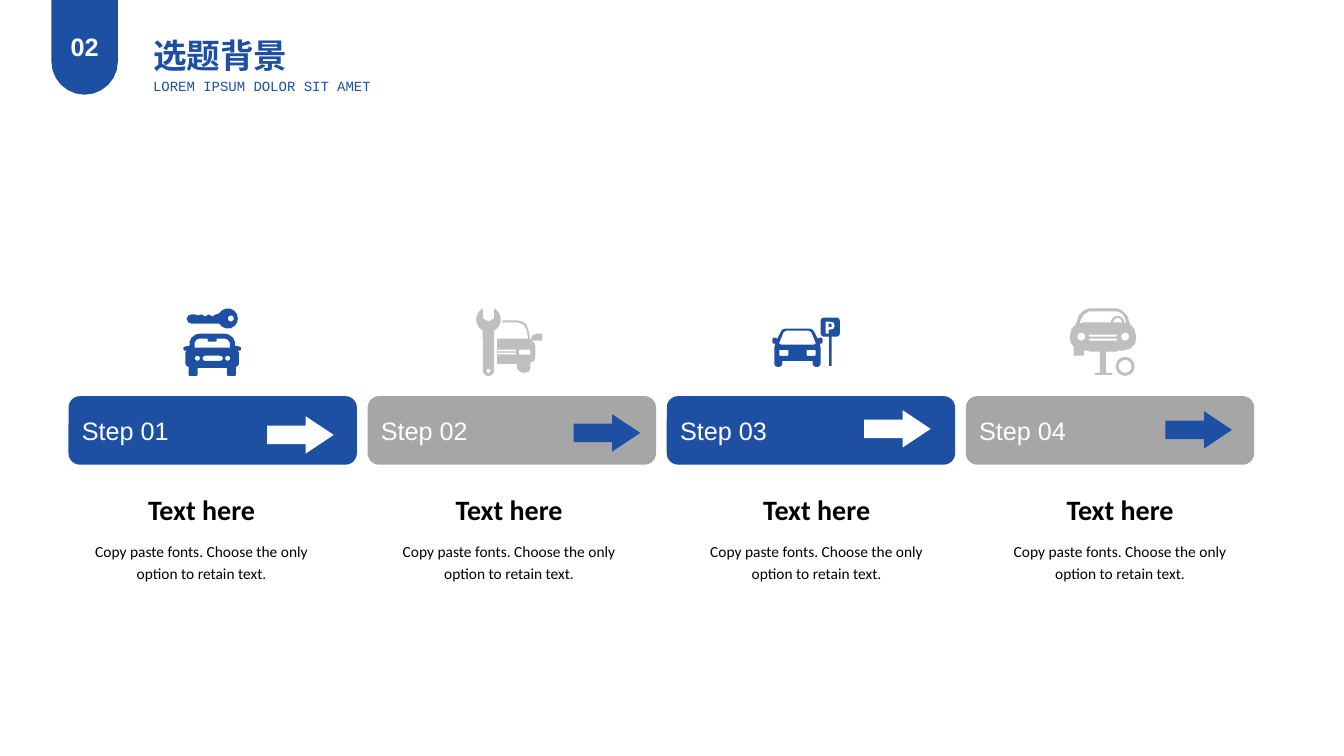
from math import cos, radians, sin

from pptx import Presentation
from pptx.dml.color import RGBColor
from pptx.enum.shapes import MSO_SHAPE
from pptx.enum.text import MSO_ANCHOR, PP_ALIGN
from pptx.util import Inches, Pt

ROUNDED = MSO_SHAPE.ROUNDED_RECTANGLE
ARROW = MSO_SHAPE.RIGHT_ARROW
LEFT, CENTER = PP_ALIGN.LEFT, PP_ALIGN.CENTER
TOP, MIDDLE = MSO_ANCHOR.TOP, MSO_ANCHOR.MIDDLE
TITLE_ONLY = 5

COLORS = {"blue": "1D50A2", "gray": "A6A6A6", "silver": "BFBFBF",
          "white": "FFFFFF", "black": "000000"}
BODY = "Copy paste fonts. Choose the only option to retain text."

# bar colour, icon colour, arrow colour, arrow left, arrow top, text left
STEPS = [
    ("blue", "blue", "white", 2.65, 4.13, 0.7),
    ("gray", "silver", "blue", 5.69, 4.11, 3.75),
    ("blue", "blue", "white", 8.57, 4.07, 6.8),
    ("gray", "silver", "blue", 11.56, 4.08, 9.81),
]


# Outlines are lists of points in hundredths of an inch on the slide.
def arc(x, y, radius, start, end):
    """Points on a circle, in degrees clockwise from the right."""
    steps = 12
    angles = [radians(start + (end - start) * i / steps) for i in range(steps + 1)]
    return [(x + radius * cos(a), y + radius * sin(a)) for a in angles]


def box(left, top, right, bottom, radius=0):
    corners = [(right - radius, bottom - radius), (left + radius, bottom - radius),
               (left + radius, top + radius), (right - radius, top + radius)]
    return [point for i, (x, y) in enumerate(corners)
            for point in arc(x, y, radius, 90 * i, 90 * i + 90)]


def disc(x, y, radius):
    return arc(x, y, radius, 0, 360)


def mirrored(axis, half):
    """Complete an outline whose left half is given from top to bottom."""
    return half + [(2 * axis - x, y) for x, y in reversed(half)]


def key_car():
    body = mirrored(210.5, [
        (198, 331), (194, 332), (190, 335), (188, 339), (188, 343), (183, 344),
        (182, 345), (182, 347), (183, 348), (185, 348), (184, 350), (184, 361),
        (185, 363), (187, 364), (187, 372), (188, 373), (195, 373), (196, 372),
        (196, 365)])
    windscreen = mirrored(210.5, [
        (206, 336), (198, 336), (195, 337), (193, 340), (193, 345)])
    mirror = windscreen[:1] + windscreen[1:] + [(215, 338), (214, 339), (207, 339), (206, 338)]
    key = arc(226, 316, 10, 210, 510) + [
        (190, 321), (187, 320), (185, 316.5), (187, 313), (190, 312), (193, 312),
        (196.5, 313), (200, 312), (203.5, 314), (207, 312), (210.5, 314), (214, 312)]
    return [body, mirror, box(201, 353, 221, 358, 2.4), disc(195.8, 355.5, 2.5),
            disc(225.8, 355.5, 2.5), key, disc(229, 316, 3)]


def wrench_car():
    wrench = ([(479, 306), (479, 316), (484.5, 319), (490, 316), (490, 306)]
              + arc(484.5, 317, 12.2, -62, 62)
              + arc(484.5, 367.5, 5.5, 0, 180)
              + arc(484.5, 317, 12.2, 118, 242))
    roof = [(499, 318), (513, 318), (518, 319), (522, 322), (524, 327), (526, 338),
            (528, 333), (532, 331), (537, 331), (538, 333), (538, 338), (527, 338),
            (530, 340), (531, 344), (531, 354), (530, 358), (526, 360), (526, 366),
            (524, 369), (520, 370), (516, 369), (513, 366), (513, 361), (493, 361),
            (493, 336), (524, 336), (522, 326), (519, 322), (514, 320), (498, 320)]
    return [wrench, disc(484.5, 368, 2), roof, box(515, 347, 526, 352),
            box(493, 347, 512, 348.6), box(493, 350, 512, 351.6)]


def parked_car():
    body = mirrored(791, [
        (779, 326), (776, 327), (774, 330), (771, 336), (769, 335), (767, 335),
        (766, 337), (766, 339), (767, 341), (769, 341), (768, 345), (768, 361),
        (769, 363), (771, 364), (773, 364), (775, 363), (776, 361), (776, 358)])
    window = mirrored(791, [(780, 328), (778, 329), (777, 330), (773, 340), (773, 341), (775, 342)])
    letter = [(819, 319), (823, 319), (827, 320), (828, 323), (827, 326), (824, 327),
              (822, 327), (822, 331), (819, 331)]
    bowl = [(822, 321), (824, 321), (825, 322), (825, 323.5), (824, 324.5), (822, 324.5)]
    return [body, window, box(773, 347, 782, 353, 1), box(800, 347, 809, 353, 1),
            box(814, 315, 833, 334, 3.5), letter, bowl, box(822.3, 334, 824.9, 363, 0.5)]


def lifted_car():
    body = [(1080, 306), (1075, 308), (1070, 313), (1067, 322), (1063, 326),
            (1061, 334), (1062, 340), (1065, 344), (1065, 353), (1075, 353),
            (1075, 348), (1080, 348), (1080, 349), (1091, 349), (1091, 370),
            (1086, 370), (1086, 372), (1103, 372), (1103, 370), (1097, 370),
            (1097, 349), (1108, 349), (1108, 348), (1114, 348), (1121, 346),
            (1126, 341), (1127, 334), (1125, 326), (1121, 322), (1118, 313),
            (1113, 308), (1108, 306)]
    window = [(1080, 309), (1075, 312), (1072, 317), (1071, 321), (1074, 320)] + arc(
        1108.5, 320, 6.5, 180, 360) + [(1117, 321), (1116, 316), (1113, 311), (1108, 309)]
    return [body, window, arc(1108.5, 320, 4.4, 180, 360),
            box(1080, 332, 1108, 334, 1), box(1080, 336, 1108, 338, 1),
            disc(1072.5, 334, 4), disc(1116, 334, 4),
            disc(1116, 363.5, 9.5), disc(1116, 363.5, 6.5)]


def paint(shape, color):
    shape.shadow.inherit = False
    shape.fill.solid()
    shape.fill.fore_color.rgb = RGBColor.from_string(COLORS[color])
    shape.line.fill.background()


def write(shape, text, size, font, color, align=LEFT, anchor=MIDDLE, bold=False, wrap=True):
    frame = shape.text_frame
    frame.word_wrap = wrap
    frame.vertical_anchor = anchor
    frame.text = text
    paragraph = frame.paragraphs[0]
    paragraph.alignment = align
    paragraph.font.size = Pt(size)
    paragraph.font.name = font
    paragraph.font.bold = bold
    paragraph.font.color.rgb = RGBColor.from_string(COLORS[color])
    return paragraph


def add_preset(slide, kind, left, top, width, height, color):
    shape = slide.shapes.add_shape(kind, Inches(left), Inches(top), Inches(width), Inches(height))
    paint(shape, color)
    return shape


def add_text(slide, left, top, width, height, *args, **options):
    shape = slide.shapes.add_textbox(Inches(left), Inches(top), Inches(width), Inches(height))
    return write(shape, *args, **options)


def add_outline(slide, contours, color):
    """Draw contours as one freeform; an inner contour is a hole."""
    contours = [[(Inches(x / 100), Inches(y / 100)) for x, y in contour] for contour in contours]
    builder = slide.shapes.build_freeform(*contours[0][0])
    for i, contour in enumerate(contours):
        if i:
            builder.move_to(*contour[0])
        builder.add_line_segments(contour[1:], close=True)
    shape = builder.convert_to_shape()
    paint(shape, color)
    return shape


def add_header(slide):
    badge = add_outline(slide, [[(51, -2), (117, -2)] + arc(84, 61, 33, 0, 180)], "blue")
    write(badge, "02", 18, "Arial", "white", CENTER, bold=True)
    title = slide.shapes.title
    title.left, title.top = Inches(1.41), Inches(0.3)
    title.width, title.height = Inches(1.55), Inches(0.5)
    write(title, "选题背景", 24, "Arial", "blue", CENTER, TOP, bold=True, wrap=False)
    add_text(slide, 1.42, 0.72, 2.4, 0.27, "LOREM IPSUM DOLOR SIT AMET", 10,
             "Courier New", "blue", anchor=TOP, wrap=False)


def add_step(slide, index, icon, step):
    bar_color, icon_color, arrow_color, arrow_left, arrow_top, text_left = step
    bar = add_preset(slide, ROUNDED, 0.68 + index * 8.9 / 3, 3.93, 2.86, 0.68, bar_color)
    write(bar, f"Step {index + 1:02}", 18, "Arial", "white")
    arrow = add_preset(slide, ARROW, arrow_left, arrow_top, 0.66, 0.37, arrow_color)
    arrow.adjustments[1] = 0.75
    add_text(slide, text_left, 5.29, 2.6, 0.63, BODY, 11, "Calibri", "black",
             CENTER, TOP).line_spacing = 1.2
    add_text(slide, text_left, 4.81, 2.6, 0.49, "Text here", 20, "Calibri", "black",
             CENTER, bold=True)
    add_outline(slide, icon, icon_color)


def main():
    presentation = Presentation()
    presentation.slide_width, presentation.slide_height = Inches(13.33), Inches(7.5)
    slide = presentation.slides.add_slide(presentation.slide_layouts[TITLE_ONLY])
    icons = [key_car(), wrench_car(), parked_car(), lifted_car()]
    for index, (icon, step) in enumerate(zip(icons, STEPS)):
        add_step(slide, index, icon, step)
    add_header(slide)
    presentation.save("out.pptx")


if __name__ == "__main__":
    main()
